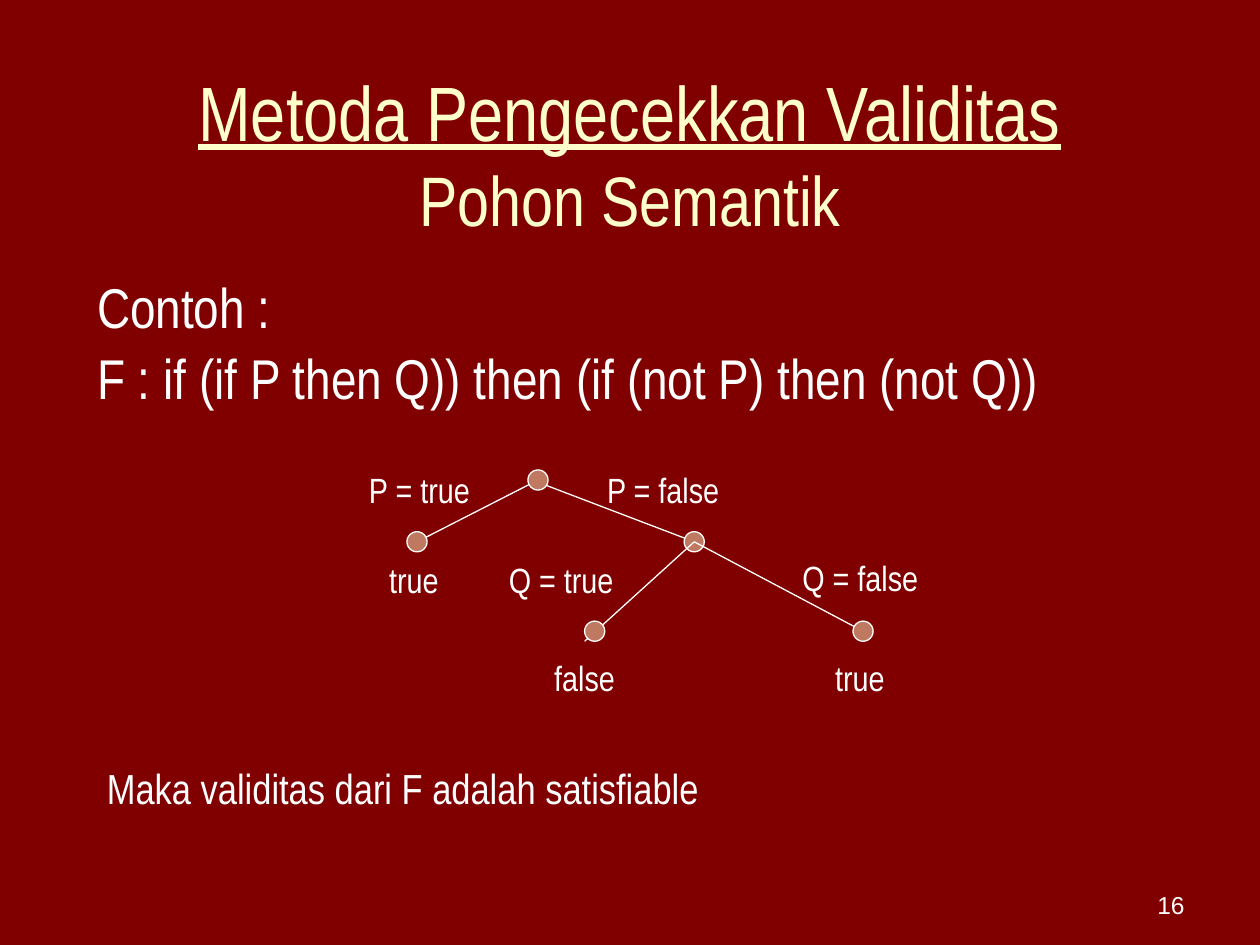
from lxml.etree import SubElement
from pptx import Presentation
from pptx.dml.color import RGBColor
from pptx.enum.shapes import MSO_CONNECTOR, MSO_SHAPE
from pptx.enum.text import MSO_ANCHOR as ANCHOR, MSO_AUTO_SIZE as AUTO, PP_ALIGN as ALIGN
from pptx.oxml.ns import qn
from pptx.util import Inches, Pt

COLORS = {"back": "800000", "title": "FFFFCC", "text": "FFFFFF", "node": "BE7960"}
NARROW = "Arial Narrow"
NODE_SIZE = 0.16


def rgb(name):
    return RGBColor.from_string(COLORS[name])


def place(sp, *box):
    for name, value in zip(("left", "top", "width", "height"), box):
        setattr(sp, name, Inches(value))


def add_run(p, text, size, color="text", **extra):
    r = p.add_run()
    r.text = text
    fmt = {"name": NARROW, "size": Pt(size), **extra}
    for name, value in fmt.items():
        setattr(r.font, name, value)
    r.font.color.rgb = rgb(color)


def add_title(s, heading, subheading):
    sp = s.shapes.title
    place(sp, 0.5, 0.42, 9, 1.58)
    tf = sp.text_frame
    tf.auto_size, tf.vertical_anchor = AUTO.NONE, ANCHOR.MIDDLE
    p = tf.paragraphs[0]
    p.alignment = ALIGN.CENTER
    add_run(p, heading, 44, "title", underline=True)
    p.add_line_break()
    add_run(p, subheading, 40, "title", underline=False)


def add_body(s, lines):
    sp = s.placeholders[1]
    place(sp, 0.67, 2.17, 8.83, 1.33)
    tf = sp.text_frame
    tf.auto_size = AUTO.NONE
    for i, line in enumerate(lines):
        p = tf.add_paragraph() if i else tf.paragraphs[0]
        p.line_spacing, p.space_before = 0.9, Pt(6.4)
        # Hanging indent without a bullet
        pPr = p._p.get_or_add_pPr()
        pPr.set("marL", str(Inches(0.67)))
        pPr.set("indent", str(-Inches(0.67)))
        SubElement(pPr, qn("a:buNone"))
        add_run(p, line, 32)


def add_label(s, text, left, top, width, height=0.44, size=20):
    sp = s.shapes.add_textbox(*map(Inches, (left, top, width, height)))
    tf = sp.text_frame
    tf.word_wrap, tf.auto_size = False, AUTO.SHAPE_TO_FIT_TEXT
    add_run(tf.paragraphs[0], text, size)


def add_branch(s, start, end):
    cn = s.shapes.add_connector(MSO_CONNECTOR.STRAIGHT, *map(Inches, start + end))
    cn.line.color.rgb = rgb("text")
    cn.line.width = Pt(0.75)
    SubElement(cn._element.spPr, qn("a:effectLst"))


def add_node(s, center):
    x, y = (v - NODE_SIZE / 2 for v in center)
    sp = s.shapes.add_shape(MSO_SHAPE.OVAL, *map(Inches, (x, y, NODE_SIZE, NODE_SIZE)))
    sp.shadow.inherit = False
    sp.fill.solid()
    sp.fill.fore_color.rgb = rgb("node")
    sp.line.color.rgb = rgb("text")
    sp.line.width = Pt(0.75)


def add_page_number(s, number):
    sp = s.shapes.add_textbox(*map(Inches, (7.17, 6.83, 2.33, 0.52)))
    tf = sp.text_frame
    tf.word_wrap, tf.vertical_anchor = True, ANCHOR.BOTTOM
    p = tf.paragraphs[0]
    p.alignment = ALIGN.RIGHT
    add_run(p, number, 14, name="Arial")


def add_tree(s):
    root, p_true, p_false = (4.27, 3.81), (3.31, 4.3), (5.51, 4.3)
    q_true, q_false = (4.72, 5.01), (6.85, 5.01)

    # Each level: branches first, then the nodes on top of them
    levels = [
        ((4.25, 3.82), (p_true, p_false), (p_true, root, p_false)),
        (p_false, ((4.64, 5.09), q_false), (q_true, q_false)),
    ]
    for start, ends, nodes in levels:
        for end in ends:
            add_branch(s, start, end)
        for node in nodes:
            add_node(s, node)

    # Branch and leaf labels
    for label in (
        ("P = true", 2.83, 3.67, 1.01),
        ("P = false", 4.72, 3.67, 1.1),
        ("true", 2.99, 4.38, 0.6),
        ("Q = true", 3.94, 4.38, 1.04),
        ("Q = false", 6.27, 4.37, 1.13),
        ("false", 4.3, 5.16, 0.69),
        ("true", 6.53, 5.16, 0.6),
    ):
        add_label(s, *label)


def main():
    prs = Presentation()
    prs.slide_width, prs.slide_height = Inches(10), Inches(7.5)
    s = prs.slides.add_slide(prs.slide_layouts[1])
    s.background.fill.solid()
    s.background.fill.fore_color.rgb = rgb("back")

    add_title(s, "Metoda Pengecekkan Validitas", "Pohon Semantik")
    add_body(s, ["Contoh :", "F : if (if P then Q)) then (if (not P) then (not Q))"])
    add_page_number(s, "16")
    add_tree(s)
    # Conclusion
    add_label(s, "Maka validitas dari F adalah satisfiable", 0.75, 6, 4.96, 0.5, 24)
    prs.save("out.pptx")


if __name__ == "__main__":
    main()
